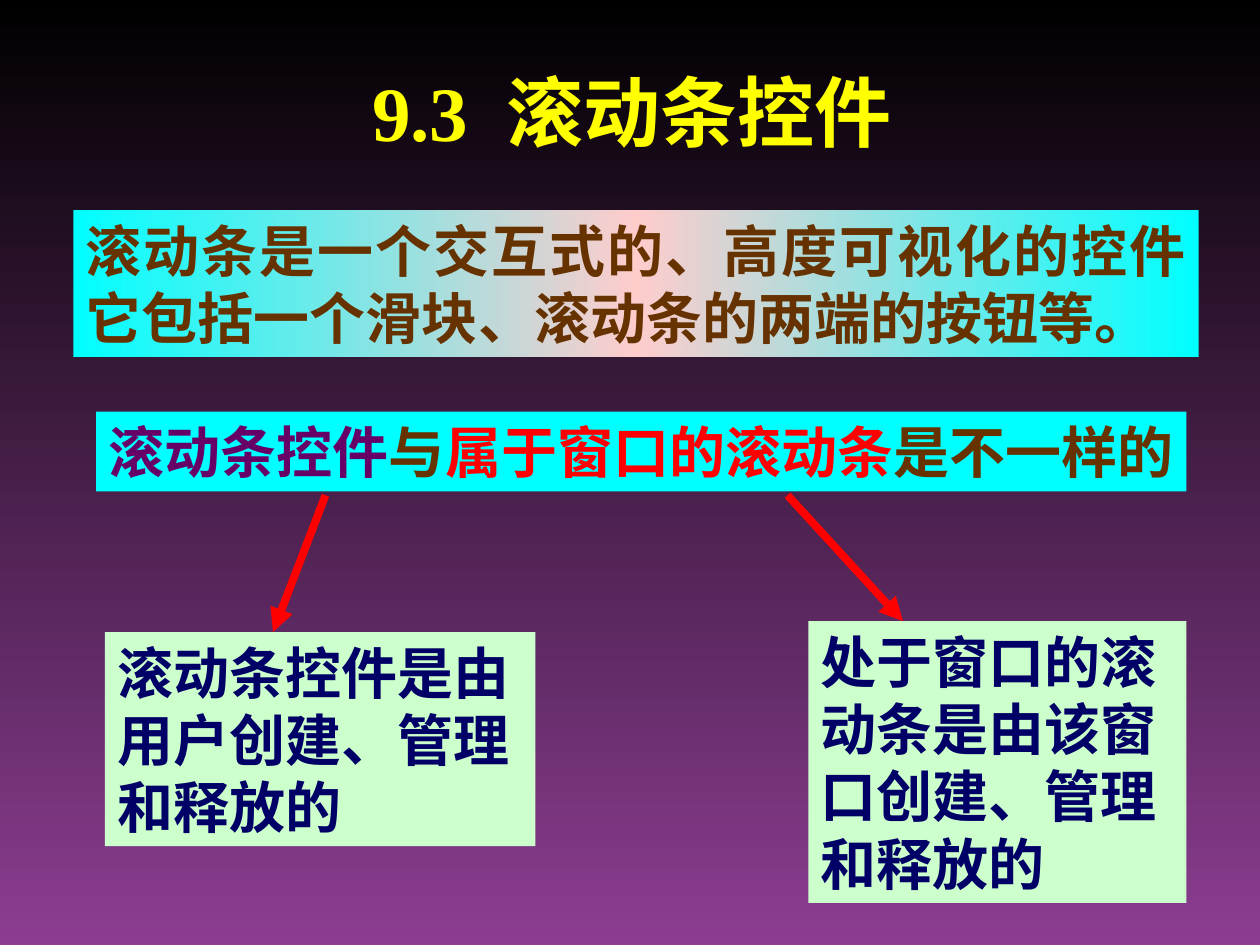
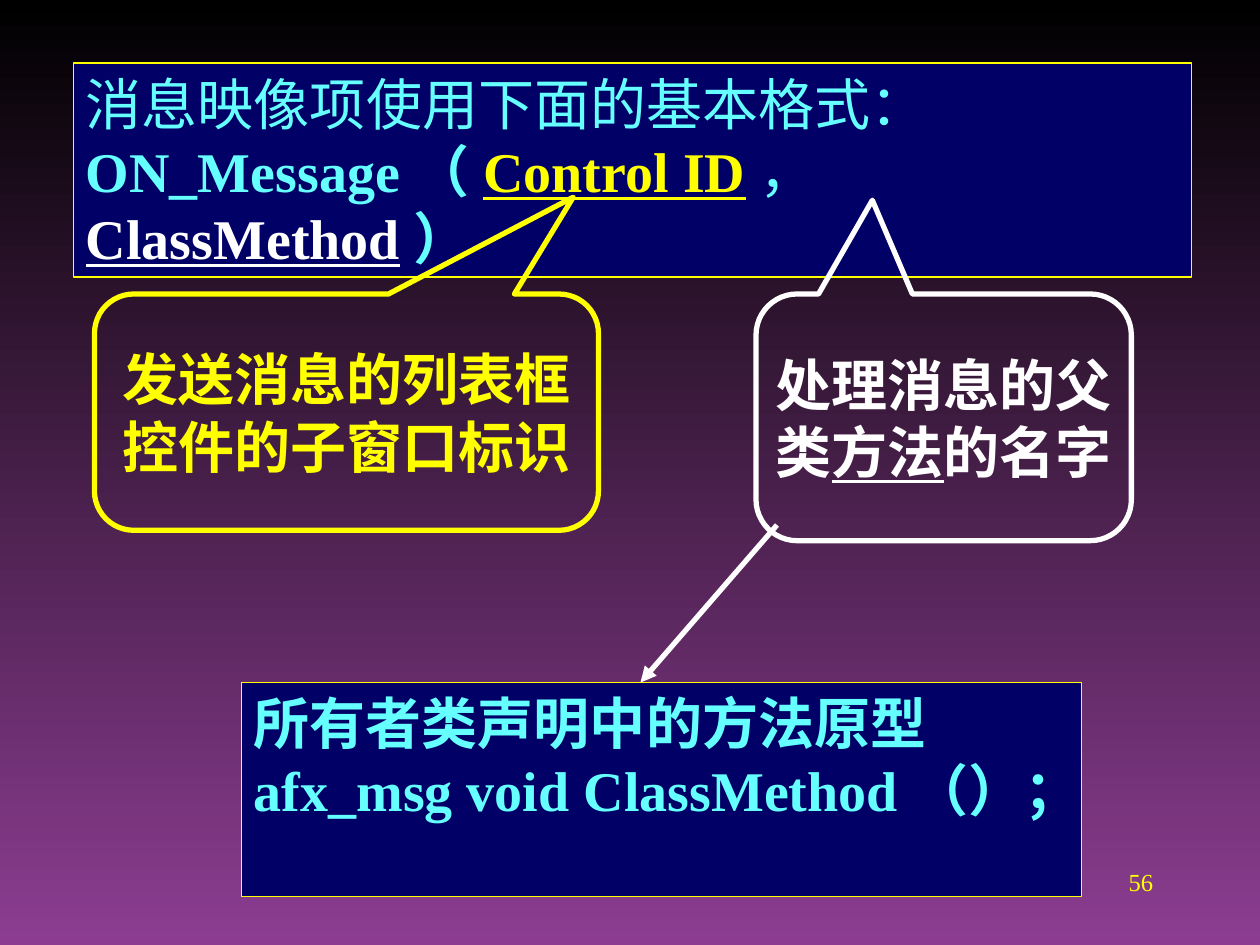
from copy import deepcopy
from dataclasses import dataclass
from typing import NamedTuple, Optional

from lxml.etree import SubElement
from pptx import Presentation
from pptx.dml.color import RGBColor
from pptx.enum.shapes import MSO_CONNECTOR, MSO_SHAPE
from pptx.enum.text import MSO_ANCHOR, PP_ALIGN
from pptx.oxml.ns import qn
from pptx.util import Pt


@dataclass(frozen=True)
class Theme:
    black: str = "000000"
    purple: str = "8C3D91"
    yellow: str = "FFFF00"
    white: str = "FFFFFF"
    cyan: str = "00FFFF"
    pink: str = "FFCCCC"
    mint: str = "CCFFCC"
    navy: str = "000066"
    sky: str = "66FFFF"
    brown: str = "663300"
    plum: str = "660066"
    red: str = "FF0000"
    title_size: float = 44
    text_size: float = 32
    number_size: float = 14
    line_height: float = 38.4
    sans: str = "Calibri"
    serif: str = "Times New Roman"
    chinese: str = "Noto Sans CJK SC"


THEME = Theme()


class Place(NamedTuple):
    left: float
    top: float
    width: float
    height: float


class Span(NamedTuple):
    text: str
    color: str
    bold: bool = True
    underline: bool = False


@dataclass(frozen=True)
class Panel:
    place: Place
    lines: list[list[Span]]
    fills: tuple[str, ...] = ()
    border: Optional[str] = None
    border_width: float = 0.75
    font: str = THEME.serif
    align: PP_ALIGN = PP_ALIGN.LEFT
    wrap: bool = True
    callout_tip: Optional[tuple[float, float]] = None


class Arrow(NamedTuple):
    start: tuple[float, float]
    end: tuple[float, float]
    color: str
    width: float


def rgb(color: str) -> RGBColor:
    return RGBColor.from_string(color)


def points(values) -> list:
    return [Pt(value) for value in values]


def fill_with(fill, colors: tuple[str, ...], angle: float = 0) -> None:
    """Fill with nothing, one colour, or an even gradient of several."""
    if not colors:
        fill.background()
    elif len(colors) == 1:
        fill.solid()
        fill.fore_color.rgb = rgb(colors[0])
    else:
        fill.gradient()
        fill.gradient_angle = angle
        stop_list = fill._fill._gradFill.find(qn("a:gsLst"))
        for _ in range(len(colors) - len(stop_list)):
            stop_list.append(deepcopy(stop_list[0]))
        for index, (stop, color) in enumerate(zip(fill.gradient_stops, colors)):
            stop.position = index / (len(colors) - 1)
            stop.color.rgb = rgb(color)


def add_span(para, span: Span, font: str, size: float) -> None:
    run = para.add_run()
    run.text = span.text
    run.font.name = font
    run.font.size = Pt(size)
    run.font.bold = span.bold
    run.font.underline = span.underline
    run.font.color.rgb = rgb(span.color)
    east_asian = SubElement(run.font._element, qn("a:ea"))
    east_asian.set("typeface", THEME.chinese)


def write_lines(frame, lines: list[list[Span]], font: str, size: float,
                align: PP_ALIGN, line_height: Optional[float] = None) -> None:
    for index, line in enumerate(lines):
        para = frame.add_paragraph() if index else frame.paragraphs[0]
        para.alignment = align
        if line_height:
            para.line_spacing = Pt(line_height)
        for span in line:
            add_span(para, span, font, size)


def add_panel(page, panel: Panel) -> None:
    kind = MSO_SHAPE.ROUNDED_RECTANGULAR_CALLOUT if panel.callout_tip else MSO_SHAPE.RECTANGLE
    box = page.shapes.add_shape(kind, *points(panel.place))
    box.shadow.inherit = False
    fill_with(box.fill, panel.fills)
    if panel.border:
        box.line.color.rgb = rgb(panel.border)
        box.line.width = Pt(panel.border_width)
    else:
        box.line.fill.background()
    if panel.callout_tip:
        box.adjustments[0], box.adjustments[1] = panel.callout_tip
    frame = box.text_frame
    frame.word_wrap = panel.wrap
    frame.vertical_anchor = MSO_ANCHOR.MIDDLE if panel.callout_tip else MSO_ANCHOR.TOP
    write_lines(frame, panel.lines, panel.font, THEME.text_size, panel.align, THEME.line_height)


def add_arrow(page, arrow: Arrow) -> None:
    line = page.shapes.add_connector(MSO_CONNECTOR.STRAIGHT, *points(arrow.start + arrow.end))
    line.line.color.rgb = rgb(arrow.color)
    line.line.width = Pt(arrow.width)
    SubElement(line.line._get_or_add_ln(), qn("a:tailEnd")).set("type", "triangle")
    SubElement(line._element.spPr, qn("a:effectLst"))


def add_title(page, place: Place, spans: list[Span]) -> None:
    title = page.shapes.title
    title.left, title.top, title.width, title.height = points(place)
    title.text_frame.vertical_anchor = MSO_ANCHOR.MIDDLE
    write_lines(title.text_frame, [spans], THEME.serif, THEME.title_size, PP_ALIGN.CENTER)


def add_page_number(page, number: str) -> None:
    box = page.shapes.add_textbox(*points(Place(516, 492, 150, 36)))
    box.text_frame.word_wrap = True
    write_lines(box.text_frame, [[Span(number, THEME.yellow, bold=False)]],
                THEME.serif, THEME.number_size, PP_ALIGN.RIGHT)


def build_scroll_bar_page(deck) -> None:
    page = deck.slides.add_slide(deck.slide_layouts.get_by_name("Title Only"))
    add_title(page, Place(60, 24, 612, 78),
              [Span("9.3 ", THEME.yellow), Span("滚动条控件 ", THEME.yellow)])
    definition = Panel(
        Place(42, 120, 643, 84),
        [[Span("滚动条是一个交互式的、高度可视化的控件它包括一个滑块、滚动条的两端的按钮等。", THEME.brown)]],
        fills=(THEME.cyan, THEME.pink, THEME.cyan), font=THEME.sans, align=PP_ALIGN.JUSTIFY)
    contrast = Panel(
        Place(55, 235.2, 623, 45.6),
        [[Span("滚动条控件", THEME.plum), Span("与", THEME.brown),
          Span("属于窗口的滚动条", THEME.red), Span("是不一样的", THEME.brown)]],
        fills=(THEME.cyan,), font=THEME.sans, wrap=False)
    explanations = [
        Panel(place, [[Span(text, THEME.navy)]], fills=(THEME.mint,), font=THEME.sans)
        for place, text in (
            (Place(462, 355, 216, 161), "处于窗口的滚动条是由该窗口创建、管理和释放的"),
            (Place(60, 361.2, 246, 122.4), "滚动条控件是由用户创建、管理和释放的"),
        )
    ]
    for panel in (definition, contrast, *explanations):
        add_panel(page, panel)
    for start, end in (((186, 283), (156, 361.2)), ((450, 283), (516, 355))):
        add_arrow(page, Arrow(start, end, THEME.red, 4.5))


def build_message_map_page(deck) -> None:
    page = deck.slides.add_slide(deck.slide_layouts.get_by_name("Blank"))
    add_page_number(page, "56")
    entry_format = [
        [Span("消息映像项使用下面的基本格式：", THEME.sky, bold=False)],
        [Span("ON_Message（", THEME.sky),
         Span("Control ID", THEME.yellow, underline=True),
         Span("，", THEME.sky, bold=False),
         Span("ClassMethod", THEME.white, underline=True),
         Span("）", THEME.sky)],
    ]
    prototype = [[Span("所有者类声明中的方法原型", THEME.sky)],
                 [Span("afx_msg void ClassMethod（）；", THEME.sky)]]
    for place, lines in ((Place(42, 36, 639, 122.4), entry_format),
                         (Place(138, 390, 480, 122.4), prototype)):
        add_panel(page, Panel(place, lines, fills=(THEME.navy,), border=THEME.yellow))

    control_note = [[Span("发送消息的列表框", THEME.yellow)],
                    [Span("控件的子窗口标识", THEME.yellow)]]
    method_note = [[Span("处理消息的父", THEME.white)],
                   [Span("类", THEME.white), Span("方法", THEME.white, underline=True),
                    Span("的名字", THEME.white)]]
    for place, lines, color, tip in (
        (Place(54, 168, 288, 135), control_note, THEME.yellow, (0.45, -0.91)),
        (Place(432, 168, 214.5, 141), method_note, THEME.white, (-0.19, -0.88)),
    ):
        add_panel(page, Panel(place, lines, border=color, border_width=3,
                              align=PP_ALIGN.CENTER, wrap=False, callout_tip=tip))
    add_arrow(page, Arrow((444, 300), (366, 390), THEME.white, 3))


def main() -> None:
    deck = Presentation()
    deck.slide_width, deck.slide_height = Pt(720), Pt(540)
    fill_with(deck.slide_master.background.fill, (THEME.black, THEME.purple), angle=270)
    build_scroll_bar_page(deck)
    build_message_map_page(deck)
    deck.save("out.pptx")


if __name__ == "__main__":
    main()
